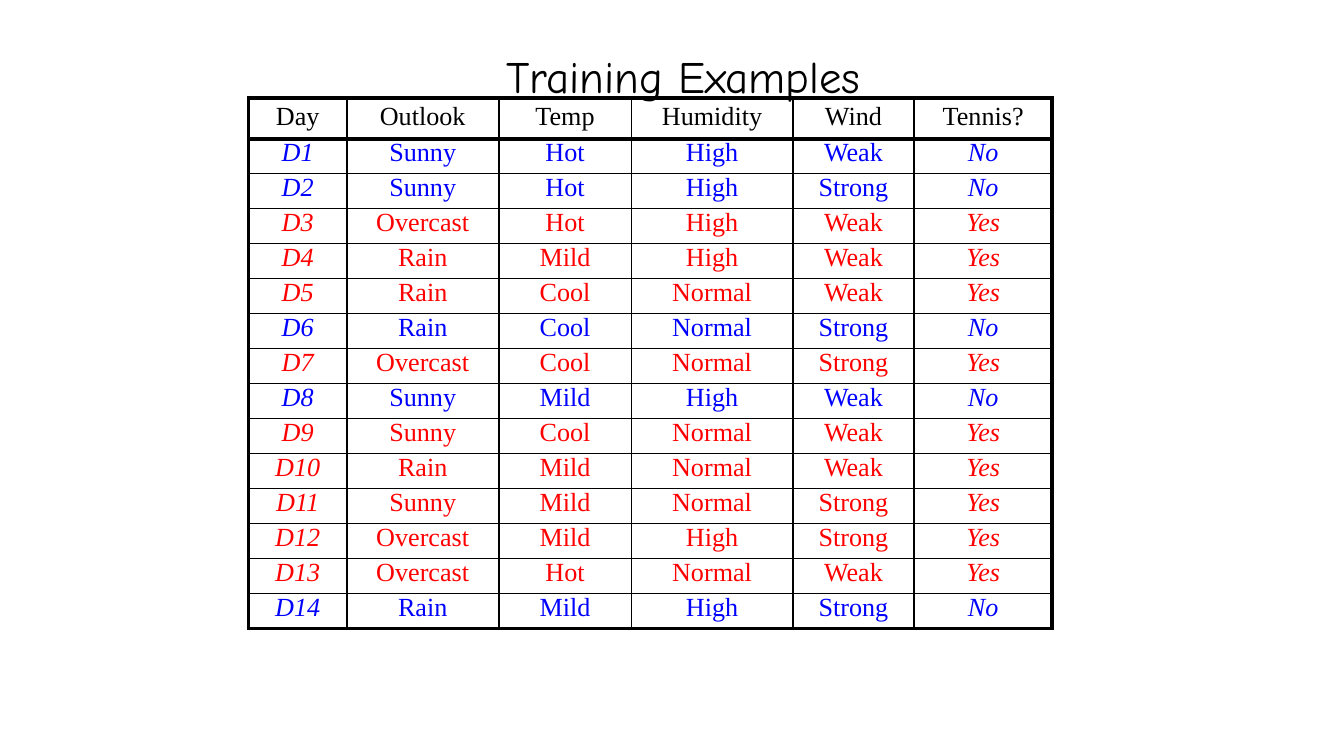
from dataclasses import dataclass

from lxml.etree import SubElement
from pptx import Presentation
from pptx.dml.color import RGBColor as RGB
from pptx.enum.text import MSO_ANCHOR as Anchor, PP_ALIGN as Align
from pptx.oxml.ns import qn
from pptx.util import Pt


@dataclass(frozen=True)
class Theme:
    title_font: str = "Comic Neue"
    table_font: str = "Times New Roman"
    title_size: float = 24
    table_size: float = 14
    ink: str = "000000"
    no: str = "0000FF"
    yes: str = "FF0000"
    thin: float = 1
    thick: float = 2.25


@dataclass(frozen=True)
class Example:
    outlook: str
    temp: str
    humidity: str
    wind: str
    tennis: str


THEME = Theme()
HEADERS = ("Day", "Outlook", "Temp", "Humidity", "Wind", "Tennis?")
COL_WIDTHS = (52.6, 81.4, 71.1, 86.5, 65, 74)
HEADER_HEIGHT, ROW_HEIGHT = 21.9, 18.75
EXAMPLES = (
    Example("Sunny", "Hot", "High", "Weak", "No"),
    Example("Sunny", "Hot", "High", "Strong", "No"),
    Example("Overcast", "Hot", "High", "Weak", "Yes"),
    Example("Rain", "Mild", "High", "Weak", "Yes"),
    Example("Rain", "Cool", "Normal", "Weak", "Yes"),
    Example("Rain", "Cool", "Normal", "Strong", "No"),
    Example("Overcast", "Cool", "Normal", "Strong", "Yes"),
    Example("Sunny", "Mild", "High", "Weak", "No"),
    Example("Sunny", "Cool", "Normal", "Weak", "Yes"),
    Example("Rain", "Mild", "Normal", "Weak", "Yes"),
    Example("Sunny", "Mild", "Normal", "Strong", "Yes"),
    Example("Overcast", "Mild", "High", "Strong", "Yes"),
    Example("Overcast", "Hot", "Normal", "Weak", "Yes"),
    Example("Rain", "Mild", "High", "Strong", "No"),
)


def style_text(tf, font: str, size: float, color: str, italic: bool = False) -> None:
    p = tf.paragraphs[0]
    p.alignment = Align.CENTER
    r = p.runs[0]
    r.font.name, r.font.size, r.font.italic = font, Pt(size), italic
    r.font.color.rgb = RGB.from_string(color)


def add_title(s, text: str) -> None:
    sp = s.shapes.add_textbox(Pt(12.2), Pt(18), Pt(707.8), Pt(44.6))
    tf = sp.text_frame
    tf.word_wrap = True
    tf.vertical_anchor = Anchor.MIDDLE
    tf.text = text
    style_text(tf, THEME.title_font, THEME.title_size, THEME.ink)


def set_borders(cell, left: float, right: float, top: float, bottom: float) -> None:
    tc_pr = cell._tc.get_or_add_tcPr()
    for side, width in zip("LRTB", (left, right, top, bottom)):
        ln = SubElement(tc_pr, qn(f"a:ln{side}"), w=str(Pt(width)))
        fill = SubElement(ln, qn("a:solidFill"))
        SubElement(fill, qn("a:srgbClr"), val=THEME.ink)


def fill_cell(cell, text: str, color: str, header: bool, italic: bool) -> None:
    cell.margin_left = cell.margin_right = Pt(7.2)
    cell.margin_top = cell.margin_bottom = Pt(2.55)
    cell.fill.background()
    tf = cell.text_frame
    tf.text = text
    style_text(tf, THEME.table_font, THEME.table_size, color, italic)
    if not header:
        tf.paragraphs[0].line_spacing = 0.8


def add_examples_table(s) -> None:
    rows, cols = len(EXAMPLES) + 1, len(HEADERS)
    height = HEADER_HEIGHT + ROW_HEIGHT * len(EXAMPLES)
    table = s.shapes.add_table(rows, cols, Pt(133.2), Pt(52.4),
                               Pt(sum(COL_WIDTHS)), Pt(height)).table
    table.first_row = table.horz_banding = False
    for column, width in zip(table.columns, COL_WIDTHS):
        column.width = Pt(width)

    # Heading first, then one row per numbered day
    records = [HEADERS] + [
        (f"D{day}", e.outlook, e.temp, e.humidity, e.wind, e.tennis)
        for day, e in enumerate(EXAMPLES, 1)
    ]
    for i, record in enumerate(records):
        header = i == 0
        table.rows[i].height = Pt(HEADER_HEIGHT if header else ROW_HEIGHT)
        # The answer decides the colour of the whole row
        color = {"Yes": THEME.yes, "No": THEME.no}.get(record[-1], THEME.ink)
        for j, text in enumerate(record):
            cell = table.cell(i, j)
            # Thick frame and thick rule below the heading
            heavy = (j == 0, j == cols - 1, i <= 1, i in (0, rows - 1))
            set_borders(cell, *(THEME.thick if h else THEME.thin for h in heavy))
            fill_cell(cell, text, color, header, not header and j in (0, cols - 1))


def main() -> None:
    prs = Presentation()
    prs.slide_width, prs.slide_height = Pt(720), Pt(405)
    s = prs.slides.add_slide(prs.slide_layouts[6])
    add_title(s, "Training Examples")
    add_examples_table(s)
    prs.save("out.pptx")


if __name__ == "__main__":
    main()
